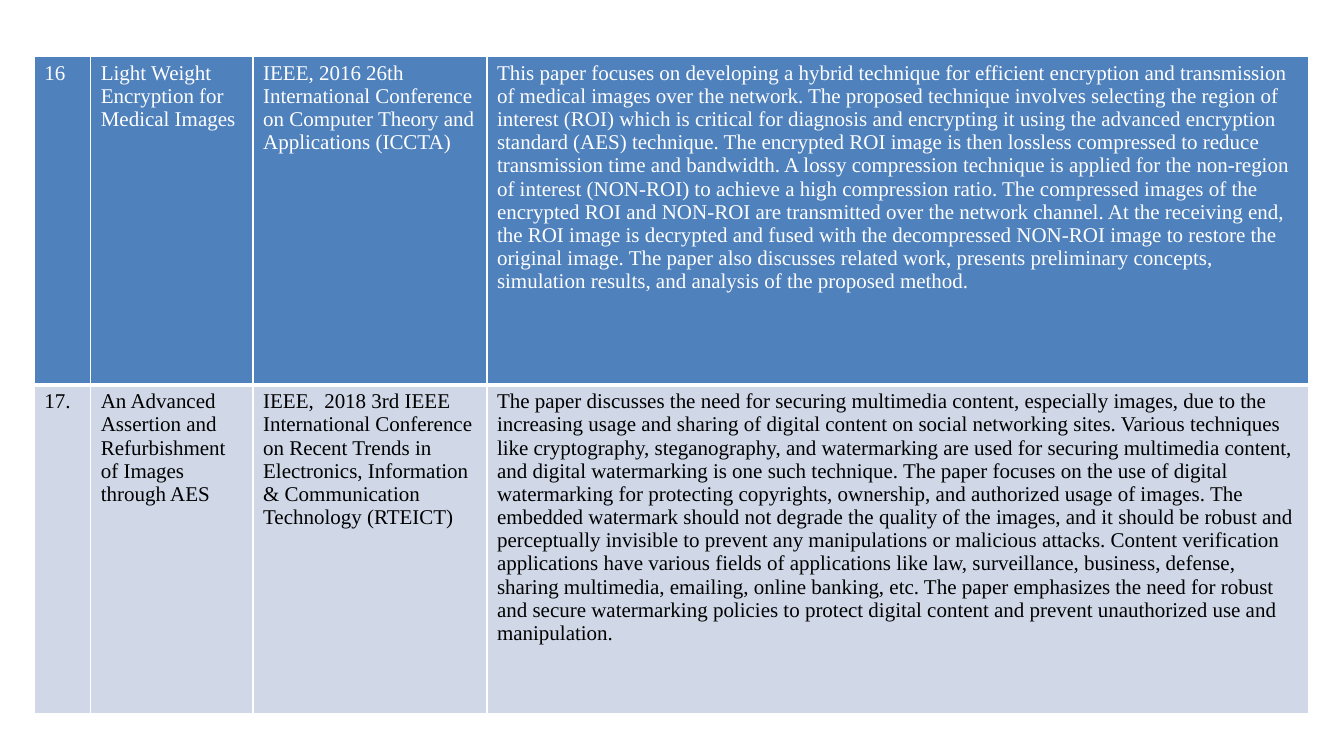
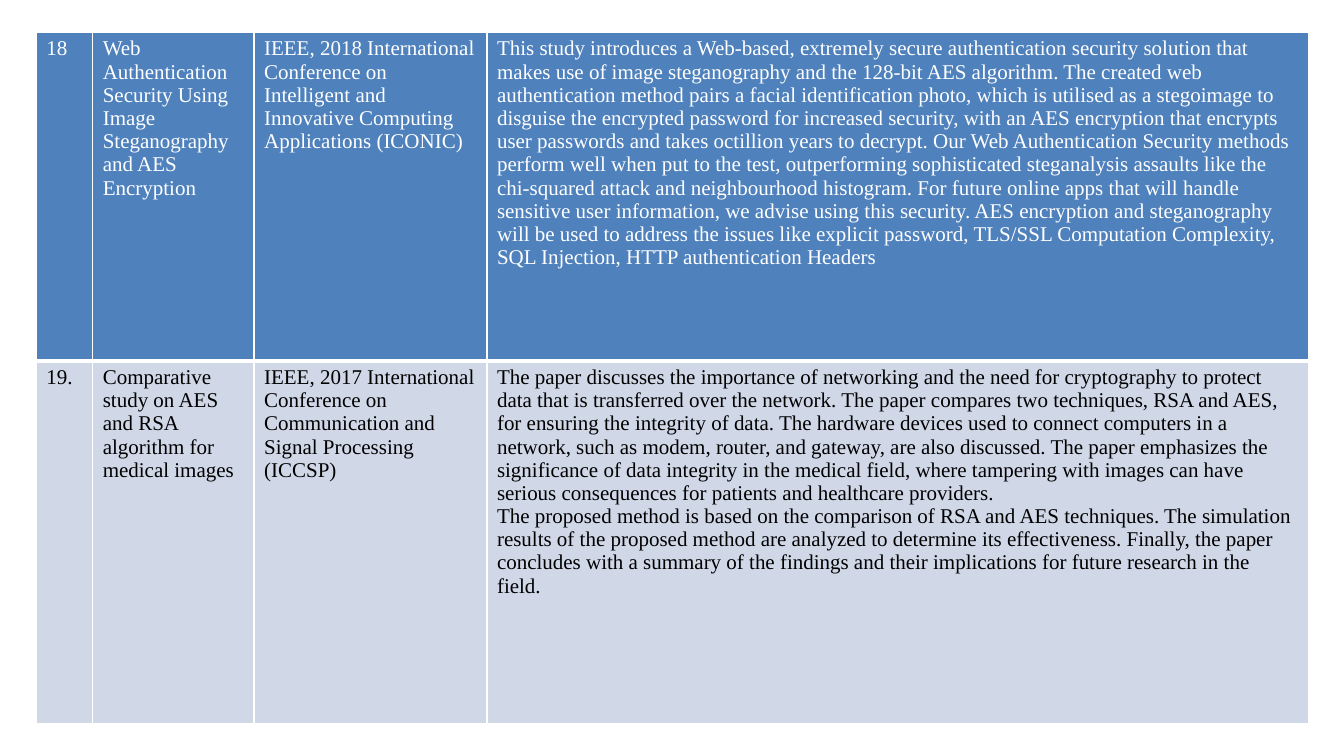
from dataclasses import dataclass

from lxml.etree import SubElement
from pptx import Presentation
from pptx.dml.color import RGBColor
from pptx.oxml.ns import qn
from pptx.util import Inches, Pt


@dataclass(frozen=True)
class Theme:
    font: str = "Times New Roman"
    text_size: int = 15
    row_fills: tuple = ("4F81BD", "D0D8E8")
    row_text: tuple = ("FFFFFF", "000000")
    border: str = "FFFFFF"
    thin: int = 1
    thick: int = 3


THEME = Theme()

# Each slide: table position, column widths, row heights and its two papers.
# A paper is number, title, venue and summary; a summary lists paragraphs of sentences.
SLIDES = [
    {
        "left": 0.34, "top": 0.56,
        "columns": [0.56, 1.61, 2.32, 8.15],
        "rows": [3.26, 3.26],
        "papers": [
            (
                "16",
                "Light Weight Encryption for Medical Images",
                "IEEE, 2016 26th International Conference on Computer Theory and "
                "Applications (ICCTA)",
                [[
                    "This paper focuses on developing a hybrid technique for efficient "
                    "encryption and transmission of medical images over the network.",
                    "The proposed technique involves selecting the region of interest "
                    "(ROI) which is critical for diagnosis and encrypting it using the "
                    "advanced encryption standard (AES) technique.",
                    "The encrypted ROI image is then lossless compressed to reduce "
                    "transmission time and bandwidth.",
                    "A lossy compression technique is applied for the non-region of "
                    "interest (NON-ROI) to achieve a high compression ratio.",
                    "The compressed images of the encrypted ROI and NON-ROI are "
                    "transmitted over the network channel.",
                    "At the receiving end, the ROI image is decrypted and fused with "
                    "the decompressed NON-ROI image to restore the original image.",
                    "The paper also discusses related work, presents preliminary "
                    "concepts, simulation results, and analysis of the proposed method.",
                ]],
            ),
            (
                "17.",
                "An Advanced Assertion and Refurbishment of Images through AES",
                "IEEE,  2018 3rd IEEE International Conference on Recent Trends in "
                "Electronics, Information & Communication Technology (RTEICT)",
                [[
                    "The paper discusses the need for securing multimedia content, "
                    "especially images, due to the increasing usage and sharing of "
                    "digital content on social networking sites.",
                    "Various techniques like cryptography, steganography, and "
                    "watermarking are used for securing multimedia content, and digital "
                    "watermarking is one such technique.",
                    "The paper focuses on the use of digital watermarking for protecting "
                    "copyrights, ownership, and authorized usage of images.",
                    "The embedded watermark should not degrade the quality of the "
                    "images, and it should be robust and perceptually invisible to "
                    "prevent any manipulations or malicious attacks.",
                    "Content verification applications have various fields of "
                    "applications like law, surveillance, business, defense, sharing "
                    "multimedia, emailing, online banking, etc.",
                    "The paper emphasizes the need for robust and secure watermarking "
                    "policies to protect digital content and prevent unauthorized use "
                    "and manipulation.",
                ]],
            ),
        ],
    },
    {
        "left": 0.36, "top": 0.32,
        "columns": [0.56, 1.6, 2.31, 8.15],
        "rows": [3.26, 3.6],
        "papers": [
            (
                "18",
                "Web Authentication Security Using Image Steganography and AES Encryption",
                "IEEE, 2018 International Conference on Intelligent and Innovative "
                "Computing Applications (ICONIC)",
                [[
                    "This study introduces a Web-based, extremely secure authentication "
                    "security solution that makes use of image steganography and the "
                    "128-bit AES algorithm.",
                    "The created web authentication method pairs a facial identification "
                    "photo, which is utilised as a stegoimage to disguise the encrypted "
                    "password for increased security, with an AES encryption that "
                    "encrypts user passwords and takes octillion years to decrypt.",
                    "Our Web Authentication Security methods perform well when put to "
                    "the test, outperforming sophisticated steganalysis assaults like "
                    "the chi-squared attack and neighbourhood histogram.",
                    "For future online apps that will handle sensitive user "
                    "information, we advise using this security.",
                    "AES encryption and steganography will be used to address the "
                    "issues like explicit password, TLS/SSL Computation Complexity, SQL "
                    "Injection, HTTP authentication Headers",
                ]],
            ),
            (
                "19.",
                "Comparative study on AES and RSA algorithm for medical images",
                "IEEE, 2017 International Conference on Communication and Signal "
                "Processing (ICCSP)",
                [
                    [
                        "The paper discusses the importance of networking and the need "
                        "for cryptography to protect data that is transferred over the "
                        "network.",
                        "The paper compares two techniques, RSA and AES, for ensuring "
                        "the integrity of data.",
                        "The hardware devices used to connect computers in a network, "
                        "such as modem, router, and gateway, are also discussed.",
                        "The paper emphasizes the significance of data integrity in the "
                        "medical field, where tampering with images can have serious "
                        "consequences for patients and healthcare providers.",
                    ],
                    [
                        "The proposed method is based on the comparison of RSA and AES "
                        "techniques.",
                        "The simulation results of the proposed method are analyzed to "
                        "determine its effectiveness.",
                        "Finally, the paper concludes with a summary of the findings and "
                        "their implications for future research in the field.",
                    ],
                ],
            ),
        ],
    },
]


def set_borders(cell, top, bottom):
    properties = cell._tc.get_or_add_tcPr()
    widths = {"a:lnL": THEME.thin, "a:lnR": THEME.thin, "a:lnT": top, "a:lnB": bottom}
    for tag, width in widths.items():
        line = SubElement(properties, qn(tag), w=str(Pt(width)))
        fill = SubElement(line, qn("a:solidFill"))
        SubElement(fill, qn("a:srgbClr"), val=THEME.border)


def fill_cell(cell, text, row_index):
    is_first = row_index == 0
    set_borders(
        cell,
        top=THEME.thin if is_first else THEME.thick,
        bottom=THEME.thick if is_first else THEME.thin,
    )
    cell.fill.solid()
    cell.fill.fore_color.rgb = RGBColor.from_string(THEME.row_fills[row_index])
    cell.text = text
    for paragraph in cell.text_frame.paragraphs:
        paragraph.font.name = THEME.font
        paragraph.font.size = Pt(THEME.text_size)
        paragraph.font.color.rgb = RGBColor.from_string(THEME.row_text[row_index])


presentation = Presentation()
presentation.slide_width = Inches(13.33)
presentation.slide_height = Inches(7.5)
blank_layout = presentation.slide_layouts[6]

for content in SLIDES:
    slide = presentation.slides.add_slide(blank_layout)

    # Table frame
    columns, rows = content["columns"], content["rows"]
    table = slide.shapes.add_table(
        len(rows), len(columns),
        Inches(content["left"]), Inches(content["top"]),
        Inches(sum(columns)), Inches(sum(rows)),
    ).table
    table.first_row = False
    table.horz_banding = False
    for column, width in zip(table.columns, columns):
        column.width = Inches(width)

    # One paper per row
    for row_index, (number, title, venue, summary) in enumerate(content["papers"]):
        table.rows[row_index].height = Inches(rows[row_index])
        summary_text = "\n".join(" ".join(sentences) for sentences in summary)
        for column_index, text in enumerate((number, title, venue, summary_text)):
            fill_cell(table.cell(row_index, column_index), text, row_index)

presentation.save("out.pptx")
